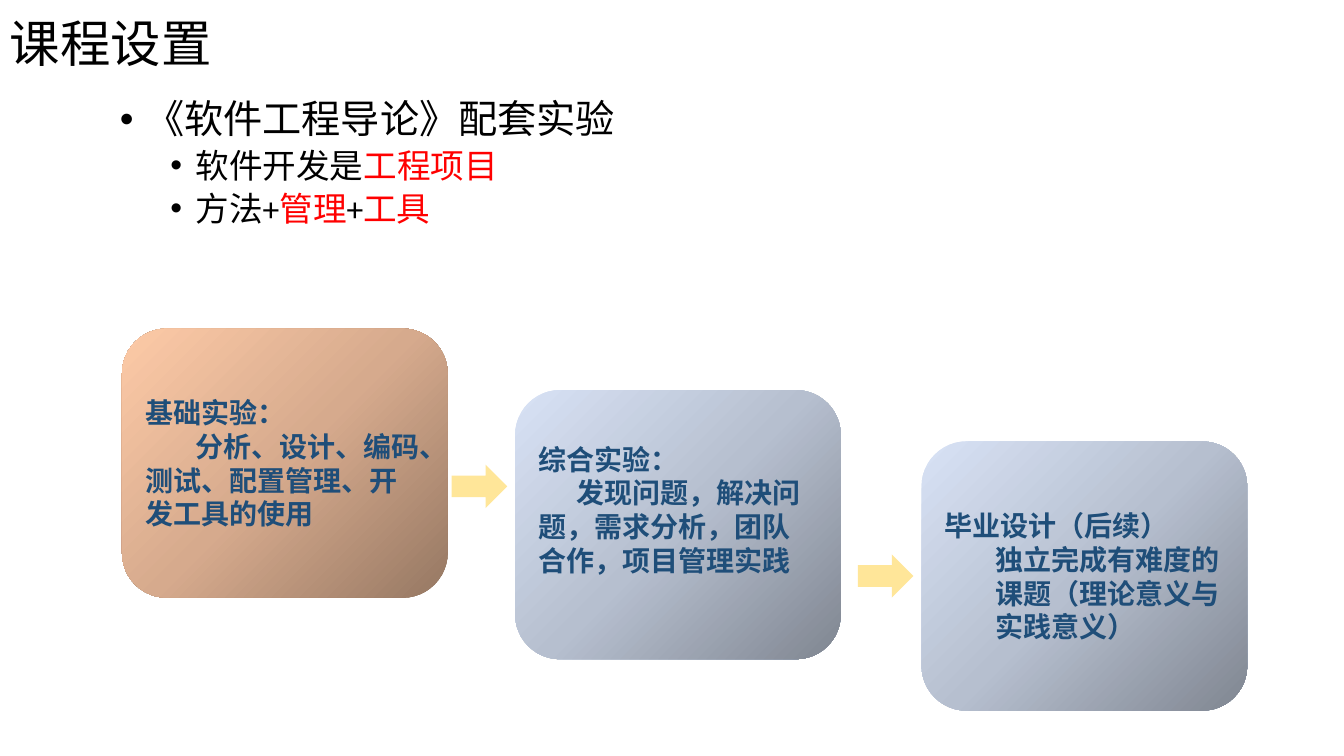
from lxml import etree
from pptx import Presentation
from pptx.dml.color import RGBColor
from pptx.enum.shapes import MSO_SHAPE
from pptx.enum.text import MSO_ANCHOR, PP_ALIGN
from pptx.oxml import parse_xml
from pptx.oxml.ns import nsdecls, qn
from pptx.util import Inches, Pt

ROUNDED, ARROW = MSO_SHAPE.ROUNDED_RECTANGLE, MSO_SHAPE.RIGHT_ARROW
MIDDLE, LEFT = MSO_ANCHOR.MIDDLE, PP_ALIGN.LEFT
FONT = "Calibri"
COLORS = {"text": "000000", "accent": "FF0000", "card": "1F4E79", "arrow": "FFE699"}
GRADIENTS = {
    "orange": ("967863", "D6AA8D", "FDCAA7"),
    "blue": ("808691", "B6BFCF", "D8E2F5"),
}
SHADES = {
    "orange": '<a:lin ang="13500000" scaled="1"/>',
    "blue": '<a:path path="circle"><a:fillToRect l="100000" t="100000"/></a:path>'
            '<a:tileRect r="-100000" b="-100000"/>',
}

deck = Presentation()
deck.slide_width, deck.slide_height = Inches(13.33), Inches(7.5)
page = deck.slides.add_slide(deck.slide_layouts[6])


def place(left, top, width, height):
    """Turn percentages of the slide into left, top, width, height."""
    across, down = deck.slide_width / 100, deck.slide_height / 100
    return int(left * across), int(top * down), int(width * across), int(height * down)


def style(para, size, color, bold=False):
    for span in para.runs:
        span.font.name, span.font.size, span.font.bold = FONT, Pt(size), bold
        span.font.color.rgb = RGBColor.from_string(COLORS[color])


# Title
box = page.shapes.add_textbox(*place(0, 0, 86.27, 12.13))
box.text_frame.word_wrap = True
box.text_frame.vertical_anchor = MIDDLE
box.text_frame.text = "课程设置"
para = box.text_frame.paragraphs[0]
para.line_spacing = 0.9
style(para, 36, "text")

# Bulleted outline: level, size, space before, alternating plain and accent spans
outline = [
    (0, 28, 10, ["《软件工程导论》配套实验"]),
    (1, 24, 5, ["软件开发是", "工程项目"]),
    (1, 24, 5, ["方法+", "管理", "+", "工具"]),
]
box = page.shapes.add_textbox(*place(8.18, 12.53, 86.27, 63.47))
frame = box.text_frame
frame.word_wrap = True
for row, (level, size, before, spans) in enumerate(outline):
    para = frame.add_paragraph() if row else frame.paragraphs[0]
    para.level, para.line_spacing, para.space_before = level, 0.9, Pt(before)
    for words in spans:
        para.add_run().text = words
    style(para, size, "text")
    for span in para.runs[1::2]:
        span.font.color.rgb = RGBColor.from_string(COLORS["accent"])
    props = para._p.get_or_add_pPr()
    props.set("marL", str(Inches(0.25 + 0.5 * level)))
    props.set("indent", str(Inches(-0.25)))
    etree.SubElement(props, qn("a:buFont")).set("typeface", "Arial")
    etree.SubElement(props, qn("a:buChar")).set("char", "•")

# Course stages: left, top, gradient, heading, detail, margin, first indent, bottom inset
stages = [
    (38.33, 51.6, "blue", "综合实验：",
     "发现问题，解决问题，需求分析，团队合作，项目管理实践", 0, 0.38, 0.35),
    (9.08, 43.47, "orange", "基础实验：",
     "分析、设计、编码、测试、配置管理、开发工具的使用", 0, 0.5, 0.05),
    (68.57, 58.4, "blue", "毕业设计（后续）",
     "独立完成有难度的课题（理论意义与实践意义）", 0.5, 0, 0.05),
]
for left, top, tint, heading, detail, margin, indent, inset in stages:
    card = page.shapes.add_shape(ROUNDED, *place(left, top, 24.23, 35.6))
    card.shadow.inherit = False
    card.line.fill.background()
    stops = "".join(
        f'<a:gs pos="{pos}"><a:srgbClr val="{color}"/></a:gs>'
        for pos, color in zip((0, 50000, 100000), GRADIENTS[tint]))
    card._element.spPr.find(qn("a:prstGeom")).addnext(parse_xml(
        f'<a:gradFill {nsdecls("a")} rotWithShape="1"><a:gsLst>{stops}</a:gsLst>'
        f'{SHADES[tint]}</a:gradFill>'))
    frame = card.text_frame
    frame.word_wrap = True
    frame.vertical_anchor = MIDDLE
    frame.margin_bottom = Inches(inset)
    frame.text = f"{heading}\n{detail}"
    for para in frame.paragraphs:
        para.alignment = LEFT
        style(para, 20, "card", bold=True)
    props = frame.paragraphs[1]._p.get_or_add_pPr()
    props.set("marL", str(Inches(margin)))
    props.set("indent", str(Inches(indent)))

# Arrows between the stages
for left, top in [(33.61, 61.47), (63.84, 73.33)]:
    arrow = page.shapes.add_shape(ARROW, *place(left, top, 4.13, 5.73))
    arrow.shadow.inherit = False
    arrow.fill.solid()
    arrow.fill.fore_color.rgb = RGBColor.from_string(COLORS["arrow"])
    arrow.line.fill.background()

deck.save("out.pptx")
